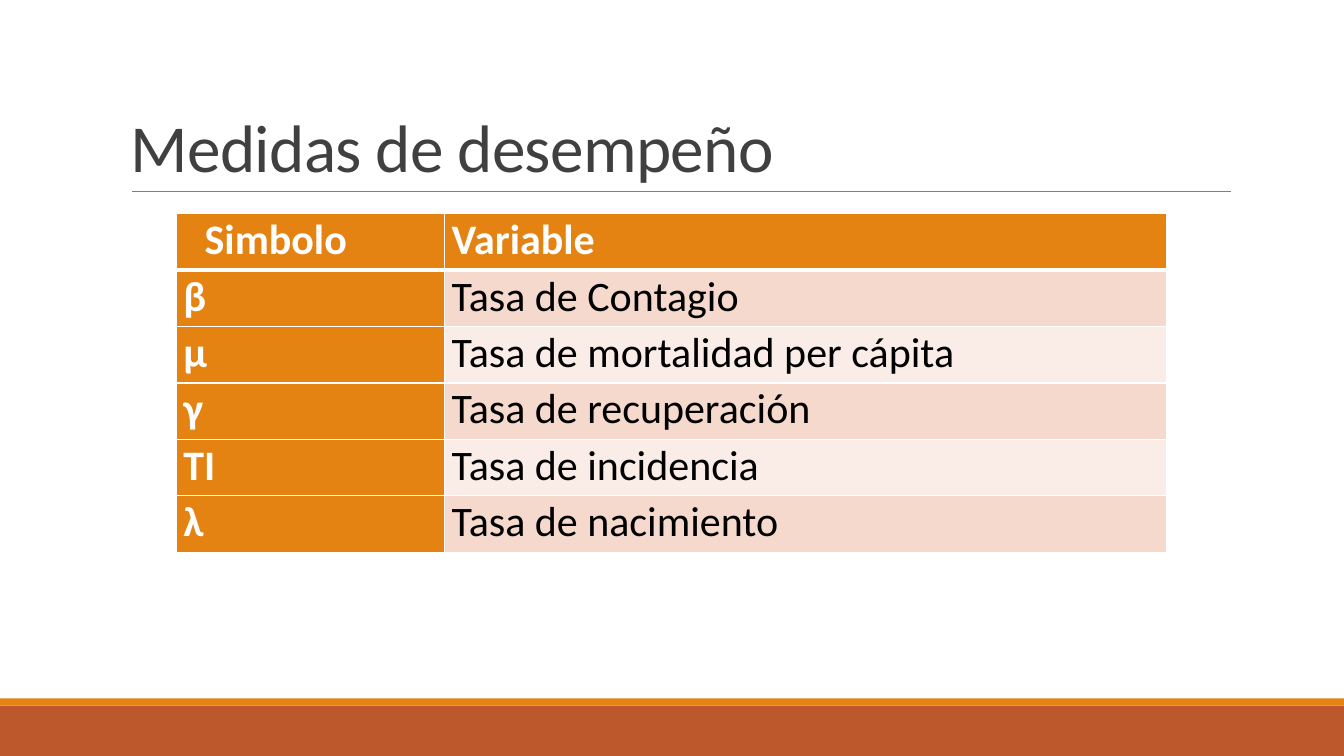
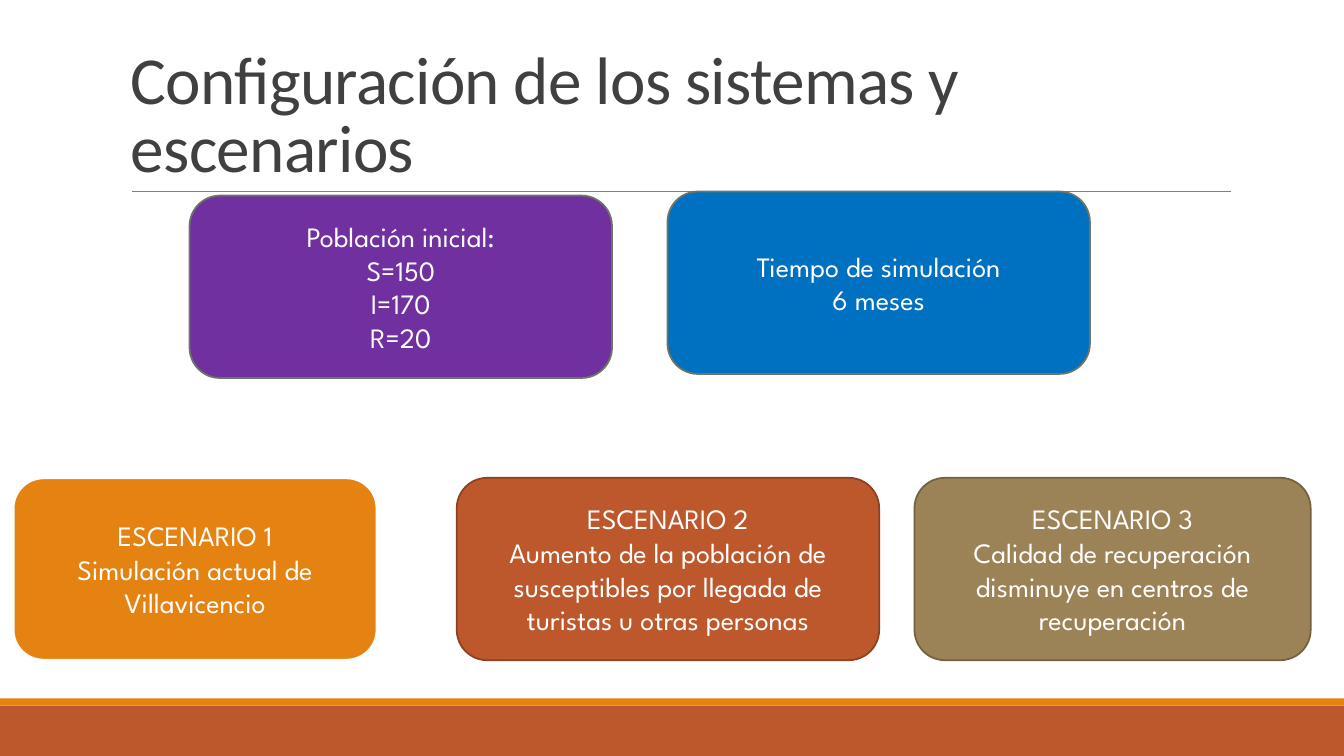
from pptx import Presentation
from pptx.dml.color import RGBColor
from pptx.enum.shapes import MSO_CONNECTOR, MSO_SHAPE
from pptx.enum.text import MSO_ANCHOR, PP_ALIGN
from pptx.oxml import parse_xml
from pptx.oxml.ns import nsdecls, qn
from pptx.util import Inches, Pt

RECT, ROUND = MSO_SHAPE.RECTANGLE, MSO_SHAPE.ROUNDED_RECTANGLE
STRAIGHT = MSO_CONNECTOR.STRAIGHT
LEFT, CENTER, JUSTIFY = PP_ALIGN.LEFT, PP_ALIGN.CENTER, PP_ALIGN.JUSTIFY
MIDDLE, BOTTOM = MSO_ANCHOR.MIDDLE, MSO_ANCHOR.BOTTOM

COLORS = {
    "white": "FFFFFF", "black": "000000", "title": "404040", "rule": "808080",
    "orange": "E48312", "rust": "BD582C", "rust_line": "8C4121",
    "tan": "9B8357", "tan_line": "736140", "purple": "7030A0",
    "blue": "0070C0", "gray_line": "6D7665",
    "band_dark": "F5D9CC", "band_light": "FAEDE7",
}
RGB = {name: RGBColor.from_string(value) for name, value in COLORS.items()}

prs = Presentation()
prs.slide_width, prs.slide_height = Inches(13.33), Inches(7.5)


def write(tf, text, size=20, font="Calibri", color="white", bold=False,
          align=LEFT, line=None, before=None, spacing=None):
    """Fill a text frame, one paragraph for each line of text."""
    for i, part in enumerate(text.split("\n")):
        p = tf.paragraphs[0] if i == 0 else tf.add_paragraph()
        p.alignment, p.line_spacing = align, line
        if before is not None:
            p.space_before = Pt(before)
        r = p.add_run()
        r.text = part
        r.font.size, r.font.name, r.font.bold = Pt(size), font, bold
        r.font.color.rgb = RGB[color]
        if spacing is not None:
            r.font._element.set("spc", str(int(spacing * 100)))


def add_slide(title):
    """Add a slide with the footer bands, the title and its rule."""
    s = prs.slides.add_slide(prs.slide_layouts[6])
    for top, height, color in ((7, 0.5, "rust"), (6.93, 0.07, "orange")):
        sp = s.shapes.add_shape(RECT, 0, Inches(top), prs.slide_width, Inches(height))
        sp.shadow.inherit = False
        sp.fill.solid()
        sp.fill.fore_color.rgb = RGB[color]
        sp.line.fill.background()

    rule = s.shapes.add_connector(STRAIGHT, Inches(1.31), Inches(1.9),
                                  Inches(12.21), Inches(1.9))
    rule.line.color.rgb, rule.line.width = RGB["rule"], Pt(0.5)
    rule._element.spPr.append(parse_xml(f"<a:effectLst {nsdecls('a')}/>"))

    tf = s.shapes.add_textbox(Inches(1.2), Inches(0.31), Inches(11), Inches(1.59)).text_frame
    tf.word_wrap, tf.vertical_anchor = True, BOTTOM
    write(tf, title, size=48, color="title", line=0.85, spacing=-0.5)
    return s


# Slide 1: table of measures
s = add_slide("Medidas de desempeño")
rows = [
    ("Simbolo", "Variable"),
    ("β", "Tasa de Contagio"),
    ("µ", "Tasa de mortalidad per cápita"),
    ("γ", "Tasa de recuperación"),
    ("TI", "Tasa de incidencia"),
    ("λ", "Tasa de nacimiento"),
]
table = s.shapes.add_table(len(rows), 2, Inches(1.75), Inches(2.12),
                           Inches(9.82), Inches(3.36)).table
table.horz_banding = False
table.columns[0].width, table.columns[1].width = Inches(2.66), Inches(7.16)

for i, row in enumerate(rows):
    table.rows[i].height = Inches(0.56)
    for j, text in enumerate(row):
        cell = table.cell(i, j)
        heading = i == 0 or j == 0
        # The first heading is indented
        cell.margin_left = Inches(0.28 if i == j == 0 else 0.07)
        cell.margin_right = Inches(0.07)
        cell.margin_top = cell.margin_bottom = 0
        write(cell.text_frame, text, size=30, bold=heading,
              color="white" if heading else "black",
              align=LEFT if i == 0 else JUSTIFY, line=1.02, before=3.9)

        # White borders, thicker under the header row
        tcPr = cell._tc.get_or_add_tcPr()
        for side in ("lnL", "lnR", "lnT", "lnB"):
            thick = (i, side) in ((0, "lnB"), (1, "lnT"))
            ln = tcPr.makeelement(qn(f"a:{side}"), {"w": str(Pt(3 if thick else 1))})
            ln.append(parse_xml(f"<a:solidFill {nsdecls('a')}>"
                                f"<a:srgbClr val='{COLORS['white']}'/></a:solidFill>"))
            tcPr.append(ln)
        cell.fill.solid()
        band = "band_dark" if i % 2 else "band_light"
        cell.fill.fore_color.rgb = RGB["orange" if heading else band]

# Slide 2: settings above, scenarios below
s = add_slide("Configuración de los sistemas y escenarios")
cards = [
    (1.88, 1.94, 4.19, "purple", "gray_line", 1.25,
     "Población inicial:\nS=150\nI=170\nR=20"),
    (6.62, 1.9, 4.19, "blue", "gray_line", 1.25,
     "Tiempo de simulación\n6 meses"),
    (0.13, 4.74, 3.61, "orange", "white", 2,
     "ESCENARIO 1\nSimulación actual de Villavicencio"),
    (4.53, 4.74, 4.19, "rust", "rust_line", 1.25,
     "ESCENARIO 2\nAumento de la población de susceptibles por llegada de "
     "turistas u otras personas"),
    (9.07, 4.74, 3.93, "tan", "tan_line", 1.25,
     "ESCENARIO 3\nCalidad de recuperación disminuye en centros de recuperación"),
]
for left, top, width, fill, outline, weight, text in cards:
    sp = s.shapes.add_shape(ROUND, Inches(left), Inches(top), Inches(width), Inches(1.81))
    sp.shadow.inherit = False
    sp.fill.solid()
    sp.fill.fore_color.rgb = RGB[fill]
    sp.line.color.rgb, sp.line.width = RGB[outline], Pt(weight)
    sp.text_frame.word_wrap, sp.text_frame.vertical_anchor = True, MIDDLE
    write(sp.text_frame, text, font="League Spartan", align=CENTER)

prs.save("out.pptx")
